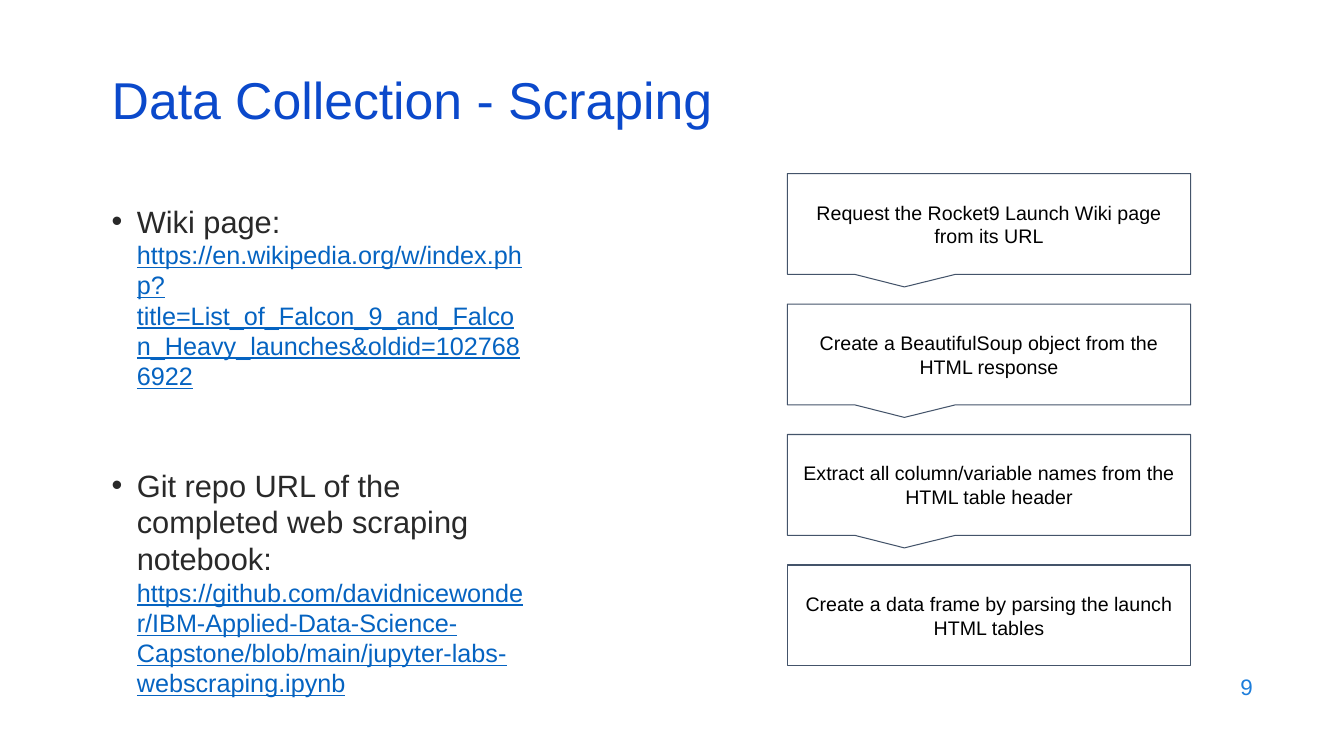
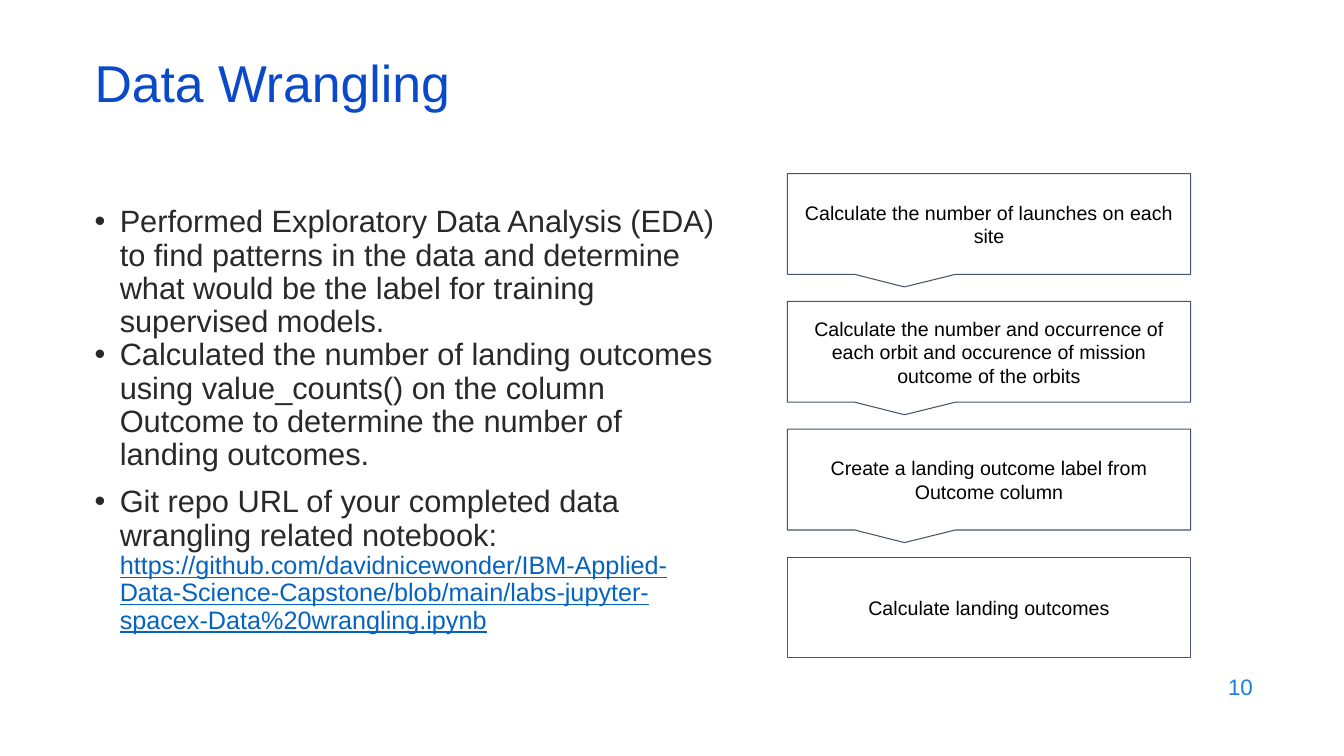
import pptx
import pptx.dml.color
import pptx.enum.shapes
import pptx.enum.text
import pptx.oxml
import pptx.oxml.ns
import pptx.util

Pt = pptx.util.Pt
RGBColor = pptx.dml.color.RGBColor
ALIGN = pptx.enum.text.PP_ALIGN
ANCHOR = pptx.enum.text.MSO_ANCHOR

TITLE_BLUE = RGBColor(0x0B, 0x49, 0xCB)
NUMBER_BLUE = RGBColor(0x1C, 0x7D, 0xDB)
LINK_BLUE = RGBColor(0x05, 0x63, 0xC1)
BODY_GRAY = RGBColor(0x29, 0x29, 0x29)
OUTLINE_SLATE = RGBColor(0x44, 0x54, 0x6A)
WHITE = RGBColor(0xFF, 0xFF, 0xFF)
BLACK = RGBColor(0x00, 0x00, 0x00)


class Deck:
    FONT = "Arial"
    STEP_LEFT, STEP_TOP = 562.5, 124
    STEP_WIDTH, STEP_HEIGHT = 288, 72
    INDENT = 18

    def __init__(self):
        self.presentation = pptx.Presentation()
        self.presentation.slide_width = Pt(960)
        self.presentation.slide_height = Pt(540)
        self.slide = None

    def add_slide(self):
        self.slide = self.presentation.slides.add_slide(self.presentation.slide_layouts[6])

    def format_run(self, run, size, color):
        run.font.name = self.FONT
        run.font.size = Pt(size)
        run.font.color.rgb = color

    def text_box(self, left, top, width, height, anchor=ANCHOR.MIDDLE):
        shape = self.slide.shapes.add_textbox(Pt(left), Pt(top), Pt(width), Pt(height))
        shape.text_frame.word_wrap = True
        shape.text_frame.vertical_anchor = anchor
        return shape.text_frame

    def title(self, text, left, top):
        paragraph = self.text_box(left, top, 828, 43.2).paragraphs[0]
        paragraph.text = text
        paragraph.line_spacing = 0.7
        self.format_run(paragraph.runs[0], 37, TITLE_BLUE)

    def page_number(self, number):
        paragraph = self.text_box(686, 474.5, 216, 31.7).paragraphs[0]
        paragraph.text = str(number)
        paragraph.alignment = ALIGN.RIGHT
        self.format_run(paragraph.runs[0], 16, NUMBER_BLUE)

    def add_bullet(self, paragraph):
        properties = paragraph._p.get_or_add_pPr()
        properties.set("marL", str(Pt(self.INDENT)))
        properties.set("indent", str(-Pt(self.INDENT)))
        namespace = pptx.oxml.ns.nsdecls("a")
        for element in (
            f'<a:buClr {namespace}><a:srgbClr val="{BODY_GRAY}"/></a:buClr>',
            f'<a:buFont {namespace} typeface="{self.FONT}"/>',
            f'<a:buChar {namespace} char="•"/>',
        ):
            properties.append(pptx.oxml.parse_xml(element))

    def bullets(self, left, top, width, height, items, line_spacing=1.0):
        text_frame = self.text_box(left, top, width, height, ANCHOR.TOP)
        for index, (text, address, space_before) in enumerate(items):
            paragraph = text_frame.add_paragraph() if index else text_frame.paragraphs[0]
            paragraph.text = text
            self.add_bullet(paragraph)
            paragraph.line_spacing = line_spacing
            paragraph.space_before = Pt(space_before)
            self.format_run(paragraph.runs[0], 22, BODY_GRAY)
            if address:
                run = paragraph.add_run()
                run.text = address
                self.format_run(run, 18, LINK_BLUE)
                run.font.underline = True

    def step(self, text, top, pointer):
        shape = self.slide.shapes.add_shape(
            pptx.enum.shapes.MSO_SHAPE.RECTANGULAR_CALLOUT,
            Pt(self.STEP_LEFT), Pt(top), Pt(self.STEP_WIDTH), Pt(self.STEP_HEIGHT))
        shape.adjustments[0] = -0.21
        shape.adjustments[1] = pointer
        shape.shadow.inherit = False
        shape.fill.solid()
        shape.fill.fore_color.rgb = WHITE
        shape.line.color.rgb = OUTLINE_SLATE
        shape.line.width = Pt(0.75)
        text_frame = shape.text_frame
        text_frame.word_wrap = True
        text_frame.vertical_anchor = ANCHOR.MIDDLE
        text_frame.margin_top = text_frame.margin_bottom = Pt(7.2)
        paragraph = text_frame.paragraphs[0]
        paragraph.text = text
        paragraph.alignment = ALIGN.CENTER
        self.format_run(paragraph.runs[0], 14, BLACK)

    def flow(self, texts, pitch):
        for index, text in enumerate(texts):
            is_last = index == len(texts) - 1
            self.step(text, self.STEP_TOP + index * pitch, 0.5 if is_last else 0.625)


def main():
    deck = Deck()

    deck.add_slide()
    deck.page_number(9)
    deck.bullets(72.7, 141.1, 309.6, 355, [
        ("Wiki page: ",
         "https://en.wikipedia.org/w/index.php?title=List_of_Falcon_9_and_Falcon_Heavy_launches&oldid=1027686922", 0),
        ("Git repo URL of the completed web scraping notebook: ",
         "https://github.com/davidnicewonder/IBM-Applied-Data-Science-Capstone/blob/main/jupyter-labs-webscraping.ipynb", 54),
    ])
    deck.title("Data Collection - Scraping", 72.7, 54.7)
    deck.flow([
        "Request the Rocket9 Launch Wiki page from its URL",
        "Create a BeautifulSoup object from the HTML response",
        "Extract all column/variable names from the HTML table header",
        "Create a data frame by parsing the launch HTML tables",
    ], 93.2)

    deck.add_slide()
    deck.page_number(10)
    deck.bullets(60.5, 143.8, 457.9, 342.7, [
        ("Performed Exploratory Data Analysis (EDA) to find patterns in the data and determine "
         "what would be the label for training supervised models.", None, 0),
        ("Calculated the number of landing outcomes using value_counts() on the column Outcome "
         "to determine the number of landing outcomes.", None, 0),
        ("Git repo URL of your completed data wrangling related notebook: ",
         "https://github.com/davidnicewonder/IBM-Applied-Data-Science-Capstone/blob/main/labs-jupyter-spacex-Data%20wrangling.ipynb", 10),
    ], 0.9)
    deck.title("Data Wrangling", 60.5, 42.5)
    deck.flow([
        "Calculate the number of launches on each site",
        "Calculate the number and occurrence of each orbit and occurence of mission outcome of the orbits",
        "Create a landing outcome label from Outcome column",
        "Calculate landing outcomes",
    ], 91.3)

    deck.presentation.save("out.pptx")


if __name__ == "__main__":
    main()
